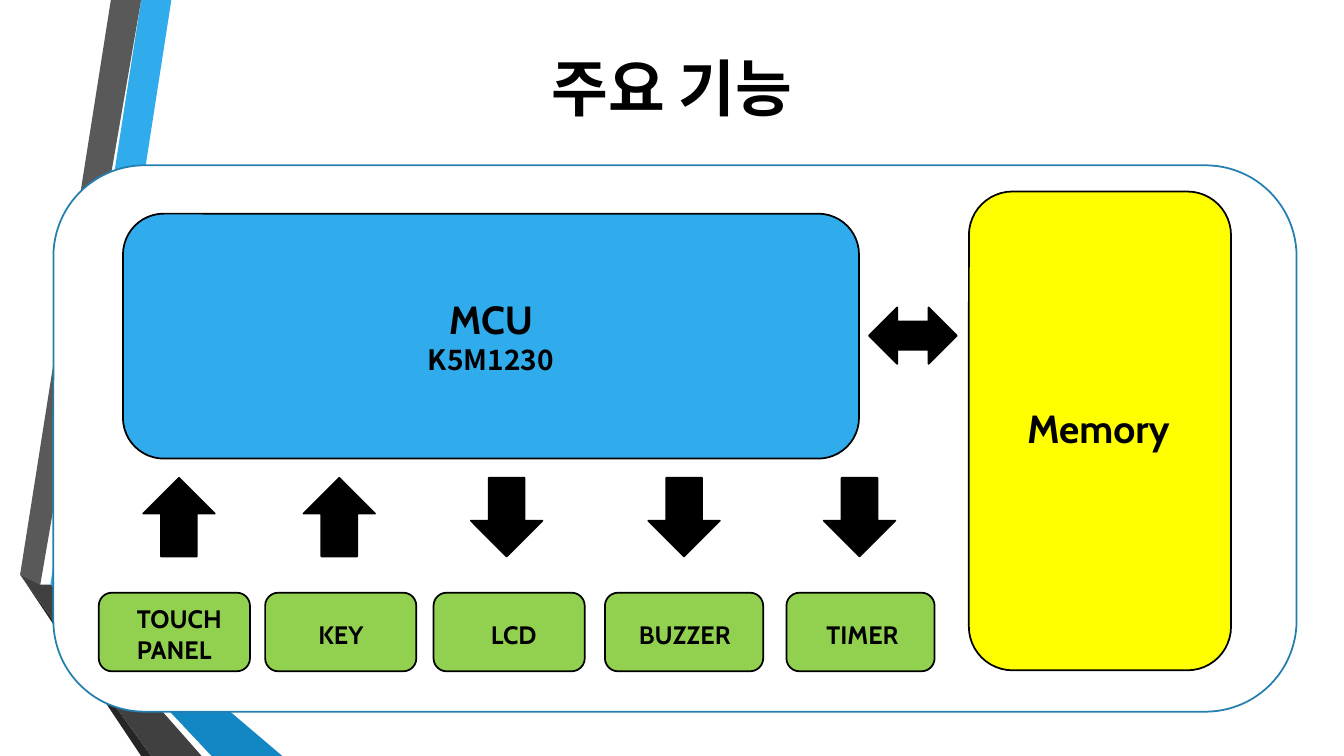
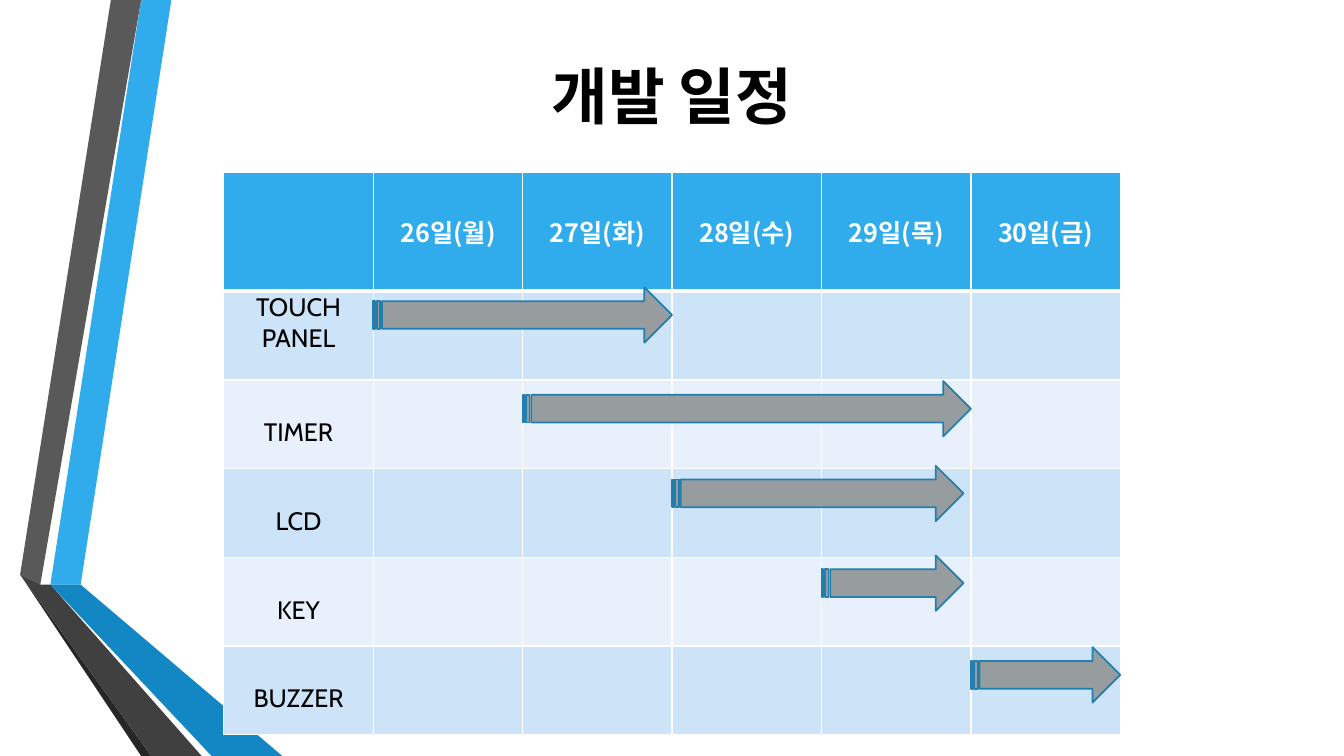
from lxml import etree
from pptx import Presentation
from pptx.dml.color import RGBColor
from pptx.enum.shapes import MSO_SHAPE
from pptx.enum.text import MSO_ANCHOR, PP_ALIGN
from pptx.oxml.ns import qn
from pptx.util import Inches, Pt

ROUNDED, RECTANGLE = MSO_SHAPE.ROUNDED_RECTANGLE, MSO_SHAPE.RECTANGLE
UP, DOWN, BOTH_WAYS = MSO_SHAPE.UP_ARROW, MSO_SHAPE.DOWN_ARROW, MSO_SHAPE.LEFT_RIGHT_ARROW
STRIPED = MSO_SHAPE.STRIPED_RIGHT_ARROW
LEFT, CENTER = PP_ALIGN.LEFT, PP_ALIGN.CENTER
MIDDLE, TOP = MSO_ANCHOR.MIDDLE, MSO_ANCHOR.TOP

BLACK, WHITE, BLUE, EDGE = "000000", "FFFFFF", "30ACEC", "247FAF"
GREEN, YELLOW, GRAY = "92D050", "FFFF00", "979D9F"
STRIPES = ("CDE3F8", "E8F1FB")
LATIN, KOREAN = "Cabin", "Noto Sans CJK KR"
rgb = RGBColor.from_string

prs = Presentation()
prs.slide_width, prs.slide_height = Inches(13.33), Inches(7.5)
CELL = prs.slide_height / 75  # square grid, 75 rows high
GRID_WIDTH = prs.slide_width / CELL


def write(frame, lines, align=CENTER, anchor=MIDDLE, margins=(0, 0, 0, 0)):
    """Fill a text frame or table cell; each line is (text, size, font, colour, bold)."""
    frame.vertical_anchor = anchor
    for side, margin in zip(("left", "top", "right", "bottom"), margins):
        setattr(frame, f"margin_{side}", int(margin * CELL))
    text_frame = getattr(frame, "text_frame", frame)
    text_frame.word_wrap = True
    for number, (text, size, face, colour, bold) in enumerate(lines):
        paragraph = text_frame.add_paragraph() if number else text_frame.paragraphs[0]
        paragraph.alignment = align
        run = paragraph.add_run()
        run.text = text
        run.font.color.rgb = rgb(colour)
        for key, value in {"size": Pt(size), "name": face, "bold": bold}.items():
            setattr(run.font, key, value)
        etree.SubElement(run._r.get_or_add_rPr(), qn("a:ea"), typeface=face)


def add_block(slide, kind, box, fill, line=BLACK):
    """Draw a flat preset shape; box is left, top, width, height in grid cells."""
    block = slide.shapes.add_shape(kind, *(int(n * CELL) for n in box))
    block.shadow.inherit = False
    block.fill.solid()
    block.fill.fore_color.rgb = rgb(fill)
    block.line.color.rgb = rgb(line)
    block.line.width = Pt(1.25)
    return block


# Shared ribbon and title
ribbon = [
    (BLUE, [(5, 57.8), (7.7, 58.3), (17.3, 0), (14.5, 0)]),
    ("595959", [(13.9, 0), (11.1, 0), (1.6, 57.3), (4.4, 57.7)]),
    ("262626", [(1.6, 57.3), (14.5, 75), (15.1, 75)]),
    ("0C5A82", [(5, 57.9), (20.8, 75), (21.4, 75)]),
    ("1287C3", [(5, 57.9), (21.4, 75), (28.3, 75), (7.7, 58.3), (5, 57.8)]),
    ("404040", [(20.2, 75), (4.8, 58.3), (4.4, 57.7), (1.6, 57.3), (15.1, 75)]),
]
slides = []
for title, title_middle in (("주요 기능", 8.65), ("개발 일정", 9.4)):
    slide = prs.slides.add_slide(prs.slide_layouts[6])
    slides.append(slide)
    for colour, points in ribbon:
        outline = slide.shapes.build_freeform(*points[0], scale=CELL)
        outline.add_line_segments(points[1:], close=True)
        band = outline.convert_to_shape()
        band.shadow.inherit = False
        band.fill.solid()
        band.fill.fore_color.rgb = rgb(colour)
        band.line.fill.background()
    heading = slide.shapes.add_textbox(
        0, int((title_middle - 6.5) * CELL), prs.slide_width, int(13 * CELL))
    write(heading.text_frame, [(title, 44, KOREAN, BLACK, True)])
functions, schedule = slides

# Block diagram: board, processor and memory
add_block(functions, ROUNDED, (5.3, 16.4, 123.3, 54.2), WHITE, EDGE)
mcu = add_block(functions, ROUNDED, (12.2, 21.2, 73, 24.3), BLUE)
write(mcu.text_frame, [("MCU", 28, LATIN, BLACK, True),
                       ("K5M1230", 20, KOREAN, BLACK, True)])
memory = add_block(functions, ROUNDED, (96.1, 19, 26, 47.5), YELLOW)
write(memory.text_frame, [("Memory", 28, LATIN, BLACK, True)], margins=(0, 0, 0.3, 0.6))
add_block(functions, BOTH_WAYS, (86.2, 30.5, 8.7, 5.6), BLACK)

# Peripherals: label, left, width, text indent, arrow left, arrow direction
peripherals = [
    ("TOUCH PANEL", 9.8, 15, 3.4, 14.2, UP),
    ("KEY", 26.3, 15, 4.9, 30.1, UP),
    ("LCD", 43, 15, 5.3, 46.7, DOWN),
    ("BUZZER", 60, 15.7, 3, 64.3, DOWN),
    ("TIMER", 78, 14.7, 3.6, 81.7, DOWN),
]
for label, left, width, indent, arrow_left, direction in peripherals:
    peripheral = add_block(functions, ROUNDED, (left, 58.8, width, 7.8), GREEN)
    write(peripheral.text_frame, [(word, 18, LATIN, BLACK, True) for word in label.split()],
          align=LEFT, margins=(indent, 0.4, 0, 0))
    add_block(functions, direction, (arrow_left, 47.4, 7.1, 7.8), BLACK)

# Schedule table
DAYS = ["26일(월)", "27일(화)", "28일(수)", "29일(목)", "30일(금)"]
# Task, first day column, length in days, arrow offset from the row's top
tasks = [
    ("TOUCH PANEL", 1, 2, -0.4),
    ("TIMER", 2, 3, 0.1),
    ("LCD", 3, 1.95, -0.3),
    ("KEY", 4, 0.95, -0.2),
    ("BUZZER", 5, 1, 0.1),
]
COLUMN, HEADER, ROW = 14.82, 11.8, 8.8
TABLE_LEFT, TABLE_TOP = 22.2, 17.1
column_count, row_count = len(DAYS) + 1, len(tasks) + 1
calendar = schedule.shapes.add_table(
    row_count, column_count, int(TABLE_LEFT * CELL), int(TABLE_TOP * CELL),
    int(COLUMN * column_count * CELL), int((HEADER + ROW * len(tasks)) * CELL)).table
for column in calendar.columns:
    column.width = int(COLUMN * CELL)

for r in range(row_count):
    calendar.rows[r].height = int((ROW if r else HEADER) * CELL)
    for c in range(column_count):
        cell = calendar.cell(r, c)
        thick_sides = {0: "B", 1: "T"}.get(r, "")
        for side in "LRTB":
            border = etree.SubElement(cell._tc.get_or_add_tcPr(), qn(f"a:ln{side}"),
                                      w=str(Pt(3 if side == thick_sides else 1)))
            paint = etree.SubElement(border, qn("a:solidFill"))
            etree.SubElement(paint, qn("a:srgbClr"), val=WHITE)
        cell.fill.solid()
        cell.fill.fore_color.rgb = rgb(STRIPES[(r - 1) % 2] if r else BLUE)
        if r == 0 and c:
            write(cell, [(DAYS[c - 1], 18, KOREAN, WHITE, True)])
        elif r and c == 0:
            words = tasks[r - 1][0].split()
            write(cell, [(word, 18, LATIN, BLACK, False) for word in words],
                  anchor=TOP, margins=(0, 0.1 if len(words) > 1 else 3.7, 0, 0))

# Schedule arrows
for number, (task, first_day, length, offset) in enumerate(tasks):
    add_block(schedule, STRIPED,
              (TABLE_LEFT + first_day * COLUMN,
               TABLE_TOP + HEADER + number * ROW + offset, length * COLUMN, 5.5),
              GRAY, EDGE)

prs.save("out.pptx")
